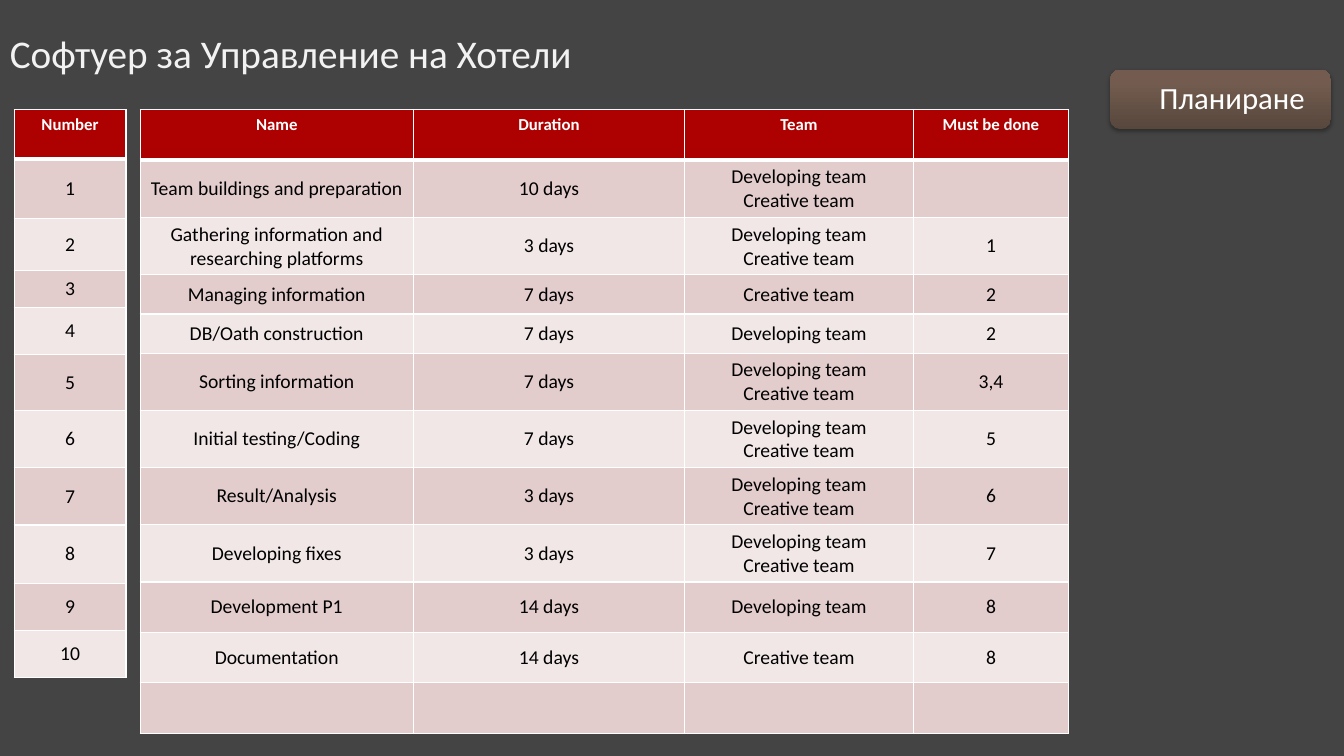
from dataclasses import dataclass

from pptx import Presentation
from pptx.dml.color import RGBColor as Color
from pptx.enum.shapes import MSO_SHAPE as Shape
from pptx.enum.text import MSO_ANCHOR as Anchor, PP_ALIGN as Align
from pptx.oxml import parse_xml
from pptx.util import Inches, Pt

FONT = "Calibri"
NS = 'xmlns:a="http://schemas.openxmlformats.org/drawingml/2006/main"'
DARK = Color(0x44, 0x44, 0x44)
PALE = Color(0xF2, 0xF2, 0xF2)
WHITE = Color(0xFF, 0xFF, 0xFF)
BLACK = Color(0x00, 0x00, 0x00)
RED = Color(0xAD, 0x01, 0x01)
ROSE = Color(0xE3, 0xCC, 0xCC)
BLUSH = Color(0xF1, 0xE7, 0xE7)
BROWNS = (
    (0, Color(0x58, 0x47, 0x3D)),
    (80, Color(0x73, 0x5C, 0x4F)),
    (100, Color(0x74, 0x5C, 0x4F)),
)

DEV = "Developing team"
ART = "Creative team"
BOTH = f"{DEV}\n{ART}"


@dataclass
class Label:
    text: str
    left: float
    top: float
    width: float
    height: float
    size: int
    color: Color
    inset: float = 0.1


@dataclass
class Grid:
    left: float
    top: float
    widths: list[float]
    heights: list[float]
    rows: list[tuple[str, ...]]


TITLE = Label("Софтуер за Управление на Хотели", 0, -0.17, 10, 1.45, 28, PALE)
PLAN = Label("Планиране", 11.04, 0.72, 2.14, 0.53, 22, WHITE, 0.46)

TASKS = Grid(
    1.39, 1.09, [2.71, 2.69, 2.27, 1.54],
    [0.5] * 3 + [0.39] * 2 + [0.5] * 7,
    [
        ("Name", "Duration", "Team", "Must be done"),
        ("Team buildings and preparation", "10 days", BOTH, ""),
        ("Gathering information and researching platforms", "3 days", BOTH, "1"),
        ("Managing information", "7 days", ART, "2"),
        ("DB/Oath construction", "7 days", DEV, "2"),
        ("Sorting information", "7 days", BOTH, "3,4"),
        ("Initial testing/Coding", "7 days", BOTH, "5"),
        ("Result/Analysis", "3 days", BOTH, "6"),
        ("Developing fixes", "3 days", BOTH, "7"),
        ("Development P1", "14 days", DEV, "8"),
        ("Documentation", "14 days", ART, "8"),
        ("", "", "", ""),
    ],
)
COUNT = Grid(
    0.14, 1.09, [1.11],
    [0.49, 0.59, 0.51, 0.37, 0.47, 0.55, 0.57, 0.57, 0.58, 0.47, 0.46],
    [("Number",)] + [(str(n),) for n in range(1, 11)],
)


def style(frame, size: int, color: Color, bold: bool = False) -> None:
    for para in frame.paragraphs:
        for run in para.runs:
            font = run.font
            font.name, font.size, font.bold = FONT, Pt(size), bold
            font.color.rgb = color


def add_label(shapes, label: Label) -> None:
    box = shapes.add_textbox(
        *map(Inches, (label.left, label.top, label.width, label.height)))
    frame = box.text_frame
    frame.word_wrap = True
    frame.vertical_anchor = Anchor.MIDDLE
    frame.margin_left = Inches(label.inset)
    frame.text = label.text
    frame.paragraphs[0].line_spacing = 0.9
    style(frame, label.size, label.color)


def add_button(shapes) -> None:
    group = shapes.add_group_shape()
    plate = group.shapes.add_shape(
        Shape.ROUNDED_RECTANGLE, *map(Inches, (11.01, 0.69, 2.19, 0.59)))
    stops = "".join(
        f'<a:gs pos="{pos * 1000}"><a:srgbClr val="{color}"/></a:gs>'
        for pos, color in BROWNS)
    props = plate.element.spPr
    props.append(parse_xml(
        f'<a:gradFill {NS} rotWithShape="1"><a:gsLst>{stops}</a:gsLst>'
        '<a:lin ang="16200000" scaled="0"/></a:gradFill>'))
    plate.line.fill.background()
    props.append(parse_xml(
        f'<a:effectLst {NS}><a:outerShdw blurRad="{Pt(3.1)}" '
        f'dist="{Pt(1.8)}" dir="5400000" rotWithShape="0">'
        '<a:srgbClr val="000000"><a:alpha val="35000"/></a:srgbClr>'
        '</a:outerShdw></a:effectLst>'))
    add_label(group.shapes, PLAN)


def add_edges(cell, row: int) -> None:
    props = cell._tc.get_or_add_tcPr()
    thick = {"B": row == 0, "T": row == 1}
    for spot, side in enumerate("LRTB"):
        width = Pt(3 if thick.get(side) else 1)
        props.insert(spot, parse_xml(
            f'<a:ln{side} {NS} w="{width}"><a:solidFill>'
            f'<a:srgbClr val="{WHITE}"/></a:solidFill></a:ln{side}>'))


def fill_cell(cell, text: str, row: int) -> None:
    head = row == 0
    cell.fill.solid()
    cell.fill.fore_color.rgb = RED if head else ROSE if row % 2 else BLUSH
    cell.vertical_anchor = Anchor.TOP if head else Anchor.MIDDLE
    frame = cell.text_frame
    frame.text = text
    for para in frame.paragraphs:
        para.alignment = Align.CENTER
    style(frame, 12 if head else 14, WHITE if head else BLACK, head)
    add_edges(cell, row)


def add_grid(shapes, grid: Grid) -> None:
    table = shapes.add_table(
        len(grid.heights), len(grid.widths),
        Inches(grid.left), Inches(grid.top),
        Inches(sum(grid.widths)), Inches(sum(grid.heights))).table
    for col, width in zip(table.columns, grid.widths):
        col.width = Inches(width)
    for row, height in zip(table.rows, grid.heights):
        row.height = Inches(height)
    for r, texts in enumerate(grid.rows):
        for c, text in enumerate(texts):
            fill_cell(table.cell(r, c), text, r)


def main() -> None:
    deck = Presentation()
    deck.slide_width, deck.slide_height = Inches(13.33), Inches(7.5)
    slide = deck.slides.add_slide(deck.slide_layouts[6])
    back = slide.background.fill
    back.solid()
    back.fore_color.rgb = DARK
    add_label(slide.shapes, TITLE)
    add_button(slide.shapes)
    for grid in (TASKS, COUNT):
        add_grid(slide.shapes, grid)
    deck.save("out.pptx")


if __name__ == "__main__":
    main()
